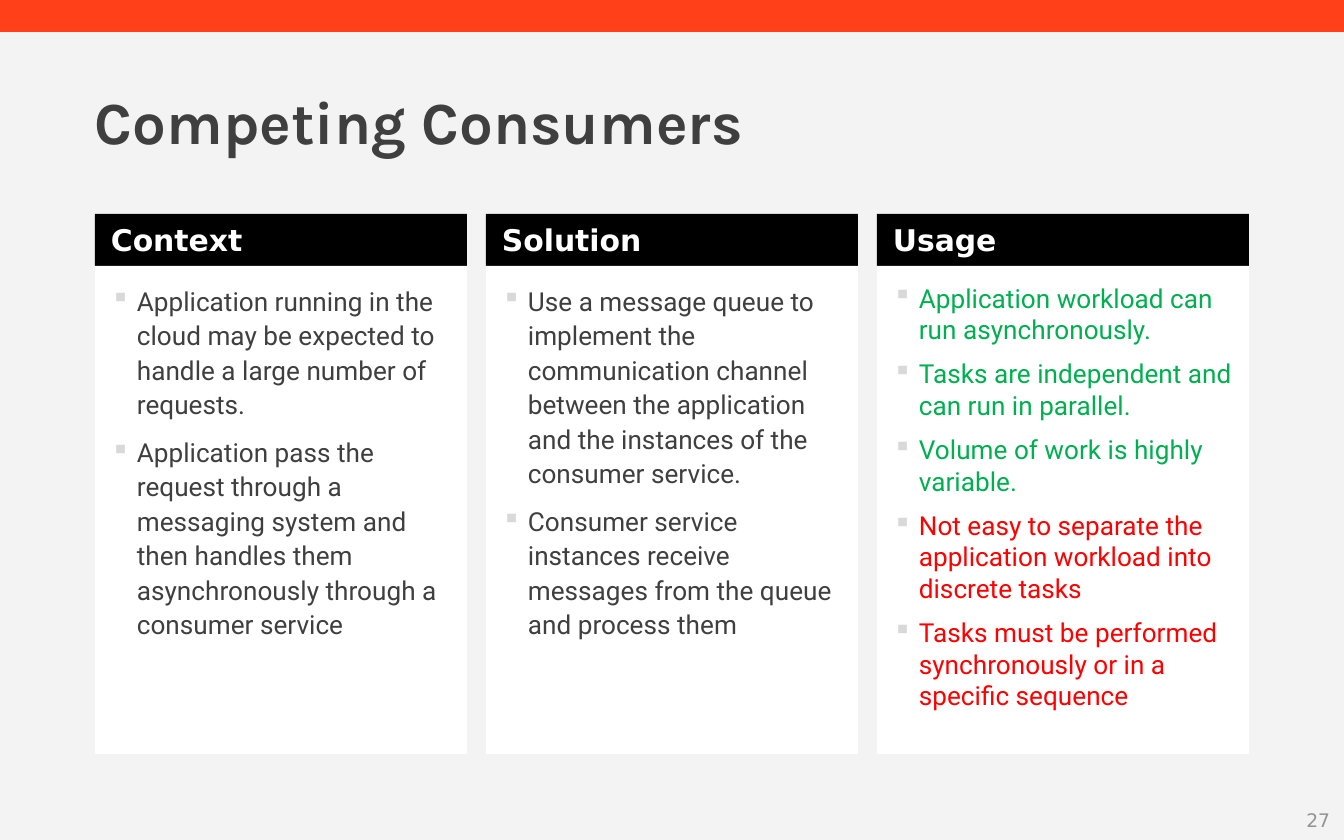
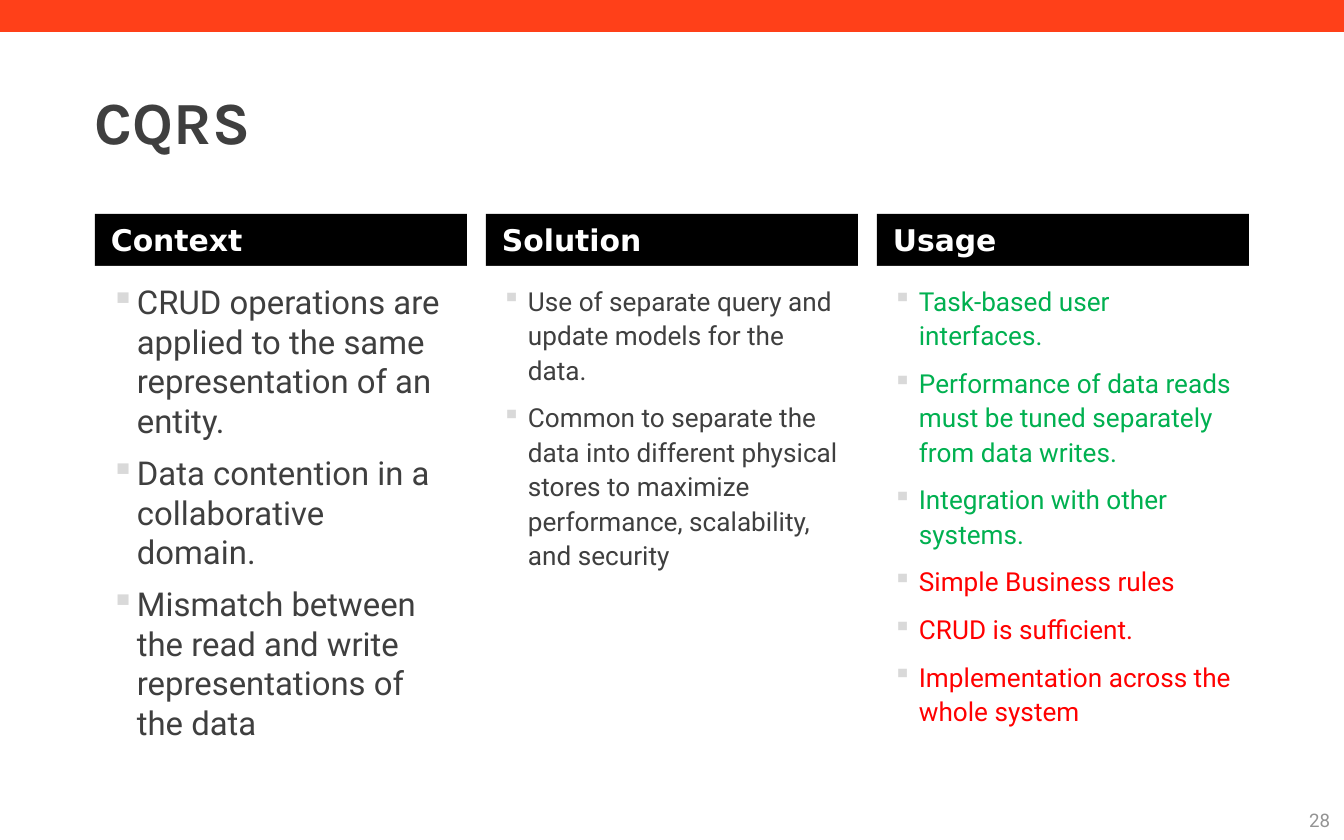
from dataclasses import dataclass

from lxml import etree
from pptx import Presentation
from pptx import util as u
from pptx.dml.color import RGBColor
from pptx.enum import shapes, text
from pptx.oxml import ns

# Scale and palette
PX_PER_INCH = 134.4
ORANGE = RGBColor(0xFF, 0x40, 0x19)
GREY_BG = RGBColor(0xF3, 0xF3, 0xF3)
WHITE = RGBColor(0xFF, 0xFF, 0xFF)
BLACK = RGBColor(0, 0, 0)
INK = RGBColor(0x3F, 0x3F, 0x3F)
PAGE_GREY = RGBColor(0x93, 0x93, 0x93)
BULLET_GREY = RGBColor(0xD9, 0xD9, 0xD9)
GREEN = RGBColor(0x00, 0xB0, 0x50)
RED = RGBColor(0xFF, 0, 0)

# Layout in px
SLIDE_W, SLIDE_H = 1344, 840
BAND_H = 32
LEFT, COL_W, COL_STEP = 95, 372, 391
HEAD_TOP, HEAD_H, BODY_H = 214, 52, 488
PAD, BULLET_INDENT = 16, 26

# Text styles
TITLE = dict(size=u.Pt(32), name="Karla", bold=True)
HEADING = dict(size=u.Pt(16), name="DejaVu Sans", bold=True)


@dataclass(frozen=True)
class Column:
    heading: str
    points: tuple[str, ...]
    warnings: tuple[str, ...] = ()
    size: float = 14
    spacing: float = 1.1
    color: RGBColor = INK


@dataclass(frozen=True)
class Pattern:
    title: str
    page: int
    page_font: str
    background: RGBColor
    columns: tuple[Column, ...]


PATTERNS = (
    Pattern("Competing Consumers", 27, "DejaVu Sans", GREY_BG, (
        Column("Context", (
            "Application running in the cloud may be expected to handle "
            "a large number of requests.",
            "Application pass the request through a messaging system and then "
            "handles them asynchronously through a consumer service",
        )),
        Column("Solution", (
            "Use a message queue to implement the communication channel between "
            "the application and the instances of the consumer service.",
            "Consumer service instances receive messages from the queue "
            "and process them",
        )),
        Column("Usage", (
            "Application workload can run asynchronously.",
            "Tasks are independent and can run in parallel.",
            "Volume of work is highly variable.",
        ), (
            "Not easy to separate the application workload into discrete tasks",
            "Tasks must be performed synchronously or in a specific sequence",
        ), spacing=1.0, color=GREEN),
    )),
    Pattern("CQRS", 28, "Roboto", WHITE, (
        Column("Context", (
            "CRUD operations are applied to the same representation of an entity.",
            "Data contention in a collaborative domain.",
            "Mismatch between the read and write representations of the data",
        ), size=17.6, spacing=1.0),
        Column("Solution", (
            "Use of separate query and update models for the data.",
            "Common to separate the data into different physical stores to "
            "maximize performance, scalability, and security",
        )),
        Column("Usage", (
            "Task-based user interfaces.",
            "Performance of data reads must be tuned separately from data writes.",
            "Integration with other systems.",
        ), (
            "Simple Business rules",
            "CRUD is sufficient.",
            "Implementation across the whole system",
        ), color=GREEN),
    )),
)


def px(n: int) -> u.Emu:
    return u.Inches(n / PX_PER_INCH)


def apply(target, values: dict) -> None:
    for name, value in values.items():
        setattr(target, name, value)


def frame(sp, pad_x: int = 0, pad_y: int = 0,
          anchor=text.MSO_ANCHOR.TOP):
    """Set the margins of a shape's text and return its text frame."""
    tf = sp.text_frame
    apply(tf, dict(word_wrap=True, vertical_anchor=anchor,
                   margin_left=px(pad_x), margin_right=px(pad_x),
                   margin_top=px(pad_y), margin_bottom=px(pad_y)))
    return tf


def write(p, words: str, style: dict, color: RGBColor,
          align=text.PP_ALIGN.LEFT) -> None:
    p.alignment = align
    r = p.add_run()
    r.text = words
    apply(r.font, style)
    r.font.color.rgb = color


def add_box(s, x: int, y: int, w: int, h: int, fill: RGBColor):
    sp = s.shapes.add_shape(shapes.MSO_SHAPE.RECTANGLE, px(x), px(y), px(w), px(h))
    sp.shadow.inherit = False
    sp.fill.solid()
    sp.fill.fore_color.rgb = fill
    sp.line.fill.background()
    return sp


def add_label(s, x: int, y: int, w: int, h: int, anchor=text.MSO_ANCHOR.TOP):
    return frame(s.shapes.add_textbox(px(x), px(y), px(w), px(h)), anchor=anchor)


def add_bullet(p) -> None:
    pPr = p._p.get_or_add_pPr()
    pPr.set("marL", str(px(BULLET_INDENT)))
    pPr.set("indent", str(-px(BULLET_INDENT)))
    clr = etree.SubElement(pPr, ns.qn("a:buClr"))
    etree.SubElement(clr, ns.qn("a:srgbClr"), val=str(BULLET_GREY))
    etree.SubElement(pPr, ns.qn("a:buChar"), char="▪")


def add_column(s, x: int, col: Column) -> None:
    # Heading bar
    head = add_box(s, x, HEAD_TOP, COL_W, HEAD_H, BLACK)
    write(frame(head, PAD, PAD // 2).paragraphs[0], col.heading, HEADING, WHITE)

    # Bulleted panel
    tf = frame(add_box(s, x, HEAD_TOP + HEAD_H, COL_W, BODY_H, WHITE), PAD, PAD)
    style = dict(size=u.Pt(col.size), name="Roboto")
    lines = [(t, col.color) for t in col.points] + [(t, RED) for t in col.warnings]
    for i, (words, color) in enumerate(lines):
        p = tf.add_paragraph() if i else tf.paragraphs[0]
        add_bullet(p)
        apply(p, dict(line_spacing=col.spacing, space_after=u.Pt(4),
                      space_before=u.Pt(3 if i else 0)))
        write(p, words, style, color)


def add_pattern(prs, pattern: Pattern) -> None:
    s = prs.slides.add_slide(prs.slide_layouts[6])
    s.background.fill.solid()
    s.background.fill.fore_color.rgb = pattern.background

    # Top band, page number and title
    add_box(s, 0, 0, SLIDE_W, BAND_H, ORANGE)
    tf = add_label(s, 964, 801, 366, 39, text.MSO_ANCHOR.MIDDLE)
    write(tf.paragraphs[0], str(pattern.page),
          dict(size=u.Pt(10), name=pattern.page_font), PAGE_GREY,
          text.PP_ALIGN.RIGHT)
    tf = add_label(s, LEFT, 85, 1005, 73)
    write(tf.paragraphs[0], pattern.title, TITLE, INK)

    # Three columns
    for i, col in enumerate(pattern.columns):
        add_column(s, LEFT + i * COL_STEP, col)


def main() -> None:
    prs = Presentation()
    apply(prs, dict(slide_width=px(SLIDE_W), slide_height=px(SLIDE_H)))
    for pattern in PATTERNS:
        add_pattern(prs, pattern)
    prs.save("out.pptx")


if __name__ == "__main__":
    main()
